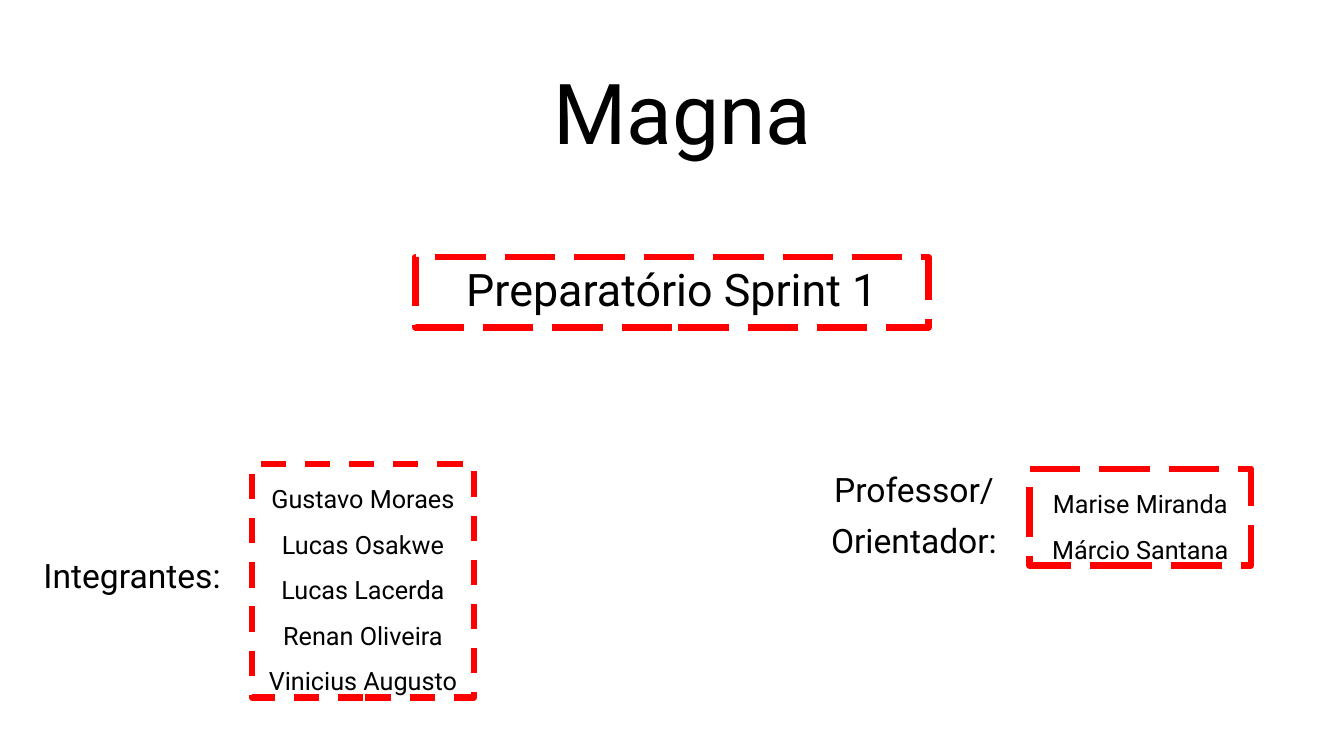
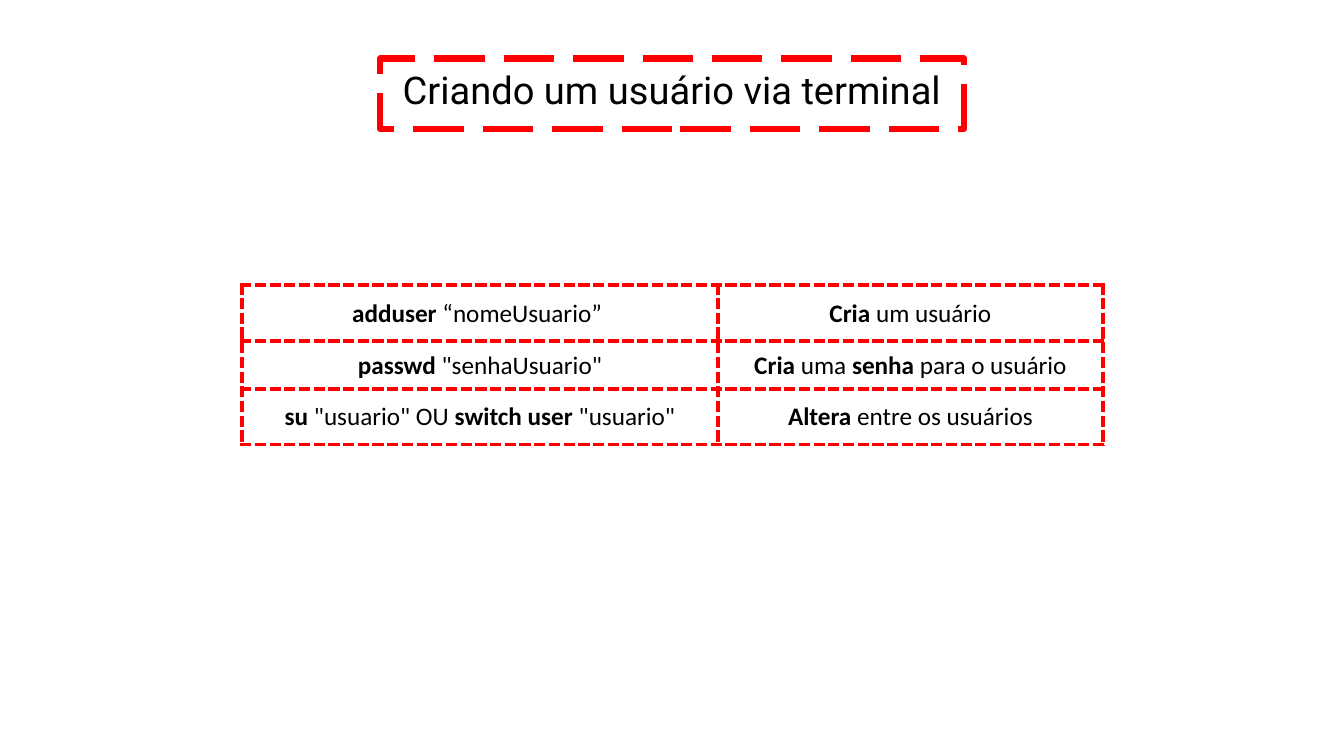
import dataclasses

import lxml.etree
import pptx
import pptx.dml.color
import pptx.enum.dml
import pptx.enum.shapes
import pptx.enum.text
import pptx.oxml
import pptx.oxml.ns
import pptx.util

Inches = pptx.util.Inches
Pt = pptx.util.Pt
DASH = pptx.enum.dml.MSO_LINE.DASH
LONG_DASH = pptx.enum.dml.MSO_LINE.LONG_DASH
TOP = pptx.enum.text.MSO_ANCHOR.TOP
MIDDLE = pptx.enum.text.MSO_ANCHOR.MIDDLE

BLACK = "000000"
RED = "FF0000"
HEADING_FONT = "Roboto"
TABLE_FONT = "Calibri"
TITLE_ONLY = 5


@dataclasses.dataclass
class TextBlock:
    """Centred text, framed when a dash style is given."""
    left: float
    top: float
    width: float
    height: float
    lines: list[str]
    size: float
    spacing: float = 0.9
    before: float = 0
    anchor: pptx.enum.text.MSO_ANCHOR = MIDDLE
    dash: pptx.enum.dml.MSO_LINE | None = None


def rgb(color: str) -> pptx.dml.color.RGBColor:
    return pptx.dml.color.RGBColor.from_string(color)


def add_run(p, text: str, size: float, font: str, bold: bool = False) -> None:
    r = p.add_run()
    r.text = text
    r.font.size = Pt(size)
    r.font.name = font
    r.font.bold = bold
    r.font.color.rgb = rgb(BLACK)


def format_block(sp, block: TextBlock) -> None:
    """Place the shape, draw its frame and write its lines."""
    sp.left, sp.top = Inches(block.left), Inches(block.top)
    sp.width, sp.height = Inches(block.width), Inches(block.height)
    if block.dash is not None:
        sp.fill.background()
        sp.line.color.rgb = rgb(RED)
        sp.line.width = Pt(4.5)
        sp.line.dash_style = block.dash
    tf = sp.text_frame
    tf.word_wrap = True
    tf.auto_size = pptx.enum.text.MSO_AUTO_SIZE.NONE
    tf.vertical_anchor = block.anchor
    for i, line in enumerate(block.lines):
        p = tf.add_paragraph() if i else tf.paragraphs[0]
        p.alignment = pptx.enum.text.PP_ALIGN.CENTER
        p.line_spacing = block.spacing
        p.space_before = Pt(block.before)
        add_run(p, line, block.size, HEADING_FONT)


def add_block(s, block: TextBlock) -> None:
    if block.dash is None:
        sp = s.shapes.add_textbox(0, 0, 0, 0)
    else:
        sp = s.shapes.add_shape(pptx.enum.shapes.MSO_SHAPE.RECTANGLE, 0, 0, 0, 0)
        sp.shadow.inherit = False
    format_block(sp, block)


def add_titled_slide(prs, title: TextBlock):
    s = prs.slides.add_slide(prs.slide_layouts[TITLE_ONLY])
    format_block(s.shapes.title, title)
    return s


def set_borders(cell) -> None:
    """Long-dashed red line on all four sides."""
    tc_pr = cell._tc.get_or_add_tcPr()
    for i, side in enumerate(("lnL", "lnR", "lnT", "lnB")):
        ln = pptx.oxml.parse_xml(
            f'<a:{side} {pptx.oxml.ns.nsdecls("a")} w="{Pt(3)}">'
            f'<a:solidFill><a:srgbClr val="{RED}"/></a:solidFill>'
            f'<a:prstDash val="lgDash"/></a:{side}>')
        tc_pr.insert(i, ln)


def add_command_table(s, left: float, top: float, widths: list[float],
                      heights: list[float], rows: list[list[str]]) -> None:
    """Cell text alternates bold and plain runs, split at each bar."""
    table = s.shapes.add_table(
        len(heights), len(widths), Inches(left), Inches(top),
        Inches(sum(widths)), Inches(sum(heights))).table
    table.first_row = table.horz_banding = False
    for column, width in zip(table.columns, widths):
        column.width = Inches(width)
    for row, height, texts in zip(table.rows, heights, rows):
        row.height = Inches(height)
        for cell, text in zip(row.cells, texts):
            cell.fill.background()
            set_borders(cell)
            cell.vertical_anchor = MIDDLE
            cell.margin_left = cell.margin_right = cell.margin_top = Inches(0.01)
            cell.margin_bottom = 0
            p = cell.text_frame.paragraphs[0]
            p.alignment = pptx.enum.text.PP_ALIGN.CENTER
            for i, part in enumerate(text.split("|")):
                add_run(p, part, 18, TABLE_FONT, bold=i % 2 == 0)


def build_cover(prs) -> None:
    s = add_titled_slide(prs, TextBlock(4.77, 0.58, 4, 1.17, ["Magna"], 60))
    members = ["Gustavo Moraes", "Lucas Osakwe", "Lucas Lacerda",
               "Renan Oliveira", "Vinicius Augusto"]
    for block in (
        TextBlock(0.27, 5.5, 2.08, 0.46, ["Integrantes:"], 24, anchor=TOP),
        TextBlock(2.5, 4.6, 2.2, 2.32, members, 18, 1.5, anchor=TOP, dash=DASH),
        TextBlock(7.29, 4.65, 3.55, 0.96, ["Professor/", "Orientador:"], 24,
                  before=10),
        TextBlock(10.21, 4.65, 2.2, 0.96, ["Marise Miranda", "Márcio Santana"],
                  18, 1.5, anchor=TOP, dash=LONG_DASH),
        TextBlock(4.12, 2.55, 5.09, 0.7, ["Preparatório Sprint 1"], 32,
                  dash=LONG_DASH),
    ):
        add_block(s, block)


def build_commands(prs) -> None:
    s = add_titled_slide(prs, TextBlock(
        3.77, 0.58, 5.79, 0.7, ["Criando um usuário via terminal"], 27.2, 0.8,
        dash=LONG_DASH))
    add_command_table(s, 2.4, 2.83, [4.72, 3.82], [0.55, 0.48, 0.55], [
        ["adduser| “nomeUsuario” ", "Cria| um usuário"],
        ['passwd| "senhaUsuario"', "Cria| uma |senha| para o usuário"],
        ['su| "usuario" OU |switch user| "usuario"',
         "Altera| entre os usuários"],
    ])


def main() -> None:
    prs = pptx.Presentation()
    prs.slide_width, prs.slide_height = Inches(13.33), Inches(7.5)
    build_cover(prs)
    build_commands(prs)
    prs.save("out.pptx")


if __name__ == "__main__":
    main()
